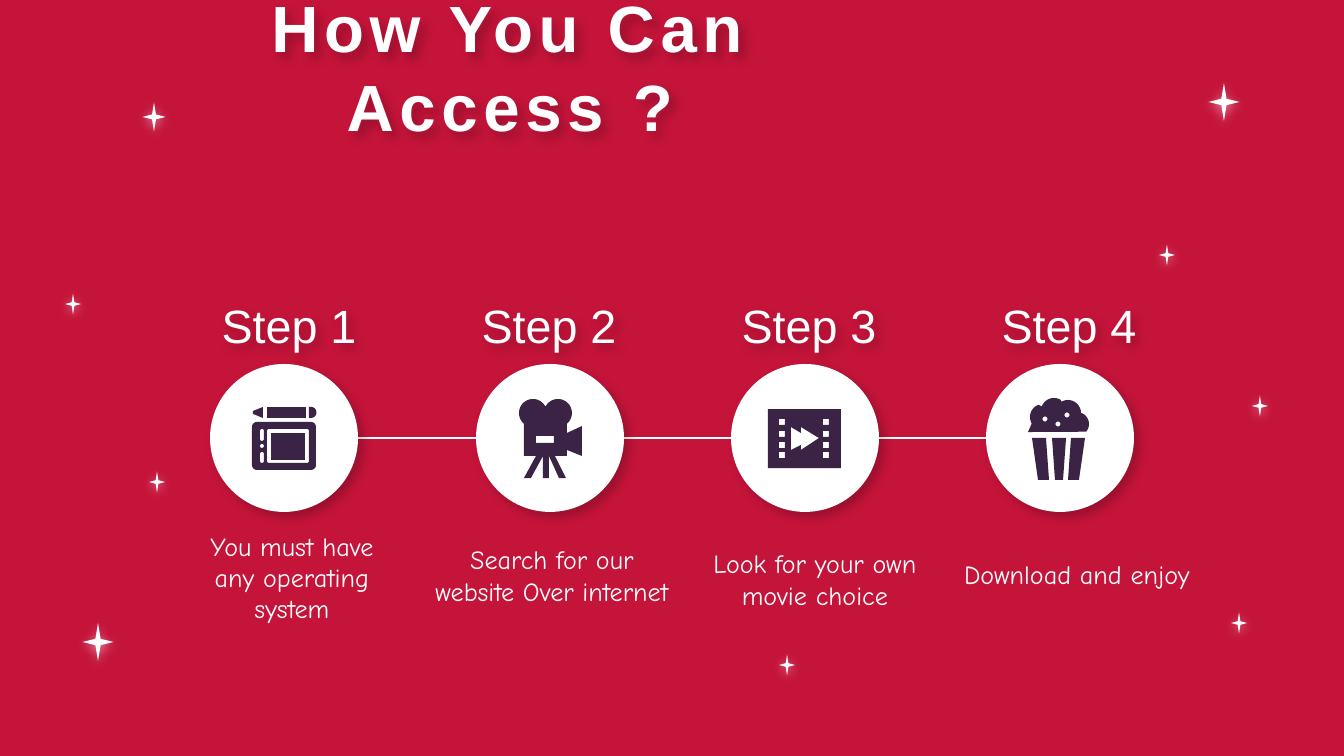
import math

from lxml import etree
from pptx import Presentation
from pptx.dml.color import RGBColor
from pptx.enum.shapes import MSO_CONNECTOR, MSO_SHAPE
from pptx.enum.text import MSO_ANCHOR, MSO_AUTO_SIZE, PP_ALIGN
from pptx.oxml.ns import qn
from pptx.util import Pt

STAR, OVAL = MSO_SHAPE.STAR_4_POINT, MSO_SHAPE.OVAL
STRAIGHT = MSO_CONNECTOR.STRAIGHT
MIDDLE, CENTER, NO_FIT = MSO_ANCHOR.MIDDLE, PP_ALIGN.CENTER, MSO_AUTO_SIZE.NONE

RED = RGBColor(0xC5, 0x14, 0x3A)
WHITE = RGBColor(0xFF, 0xFF, 0xFF)
BLACK = RGBColor(0x00, 0x00, 0x00)
PURPLE = RGBColor(0x3A, 0x23, 0x45)

PX = 914400 / 134.4  # EMU in one px
SLIDE_WIDTH, SLIDE_HEIGHT = 1344, 756


def px(value):
    return round(value * PX)


# Outline helpers: each returns the points of one contour, in px
def arc(x, y, radius, start, end):
    steps = max(2, round(abs(end - start) / 10))
    angles = [math.radians(start + (end - start) * i / steps) for i in range(steps + 1)]
    return [(x + radius * math.cos(a), y + radius * math.sin(a)) for a in angles]


def dot(x, y, radius):
    return arc(x, y, radius, 0, 360)


def box(left, top, right, bottom):
    return [(left, top), (right, top), (right, bottom), (left, bottom)]


def rounded(left, top, right, bottom, r):
    return (arc(left + r, top + r, r, 180, 270) + arc(right - r, top + r, r, 270, 360)
            + arc(right - r, bottom - r, r, 0, 90) + arc(left + r, bottom - r, r, 90, 180))


# Content
TITLE = "How You Can Access ?"

# Icons: a list of pieces, each an outer contour followed by its holes
TABLET = [
    [box(267, 407, 306, 418)],
    [[(263, 407), (253, 411), (253, 414), (263, 418)]],
    [[(309, 407)] + arc(311, 412.5, 5.5, -90, 90) + [(309, 418)]],
    [box(271, 433, 305, 460)],
    [rounded(252, 422, 316, 470, 5), rounded(267, 429, 309, 463, 2),
     rounded(260, 429, 264, 441, 2), dot(262, 446, 2), rounded(260, 452, 264, 463, 2)],
]
CAMERA = [[
    arc(533, 413, 14, -30, -230)
    + [(524, 456), (536, 456), (524, 478), (531, 478), (543, 456), (543, 478),
       (549, 478), (549, 456), (559, 478), (566, 478), (555, 456), (567, 456),
       (567, 450), (582, 456), (582, 426), (567, 433)]
    + arc(558, 413, 14, 50, -150),
    box(536, 436, 554, 443),
]]
FILM = [[
    box(768, 409, 841, 468),
    [(801, 427), (819, 438), (801, 450), (801, 445), (791, 450), (791, 427), (801, 433)],
    *[box(x, y, x + 6, y + 6) for x in (779, 823) for y in (419, 431, 442, 452)],
]]
POPCORN = [
    [[(1028, 432)] + arc(1043, 417, 13, 150, 250) + arc(1054, 411, 13, 200, 300)
     + arc(1068, 413, 13, 240, 360) + arc(1077, 424, 12, 300, 400),
     dot(1067, 415, 2.5), dot(1045, 419, 2.5), dot(1058, 424, 2.5)],
    [[(1032, 438), (1038, 480), (1049, 480), (1046, 438)]],
    [[(1052, 438), (1055, 480), (1063, 480), (1066, 438)]],
    [[(1071, 438), (1068, 480), (1079, 480), (1085, 438)]],
]

# Steps: circle centre, icon, caption, caption box (left, top, width)
STEPS = [
    (284, TABLET, "You must have any operating system", (174, 545, 236)),
    (550, CAMERA, "Search for our website Over internet", (417, 543, 270)),
    (805, FILM, "Look for your own movie choice", (680, 547, 270)),
    (1060, POPCORN, "Download and enjoy", (942, 542, 270)),
]
CIRCLE_Y, CIRCLE_SIZE = 438, 148
LABEL_LEFT, LABEL_PITCH, LABEL_TOP = 171, 260, 295
LABEL_WIDTH, LABEL_HEIGHT, CAPTION_HEIGHT = 236, 60, 64

# Stars: centre, size, rotation
LARGE, MEDIUM, SMALL = (31, 38), (23, 29), (16, 21)
STARS = [
    (1224, 102, LARGE, 0), (1260, 406, SMALL, 0), (1167, 255, SMALL, 0),
    (1239, 623, SMALL, 180), (98, 642, LARGE, 180), (73, 304, SMALL, 180),
    (157, 482, SMALL, 180), (154, 117, MEDIUM, 0), (787, 665, SMALL, 180),
]

STAR_GLOW = dict(color=WHITE, opacity=50, distance=1.5, angle=90)
SOFT_SHADOW = dict(color=BLACK, opacity=22, distance=3.8, angle=50)

presentation = Presentation()
presentation.slide_width, presentation.slide_height = px(SLIDE_WIDTH), px(SLIDE_HEIGHT)
slide = presentation.slides.add_slide(presentation.slide_layouts[5])
slide.background.fill.solid()
slide.background.fill.fore_color.rgb = RED
shapes = slide.shapes


def add_shadow(shape, color, opacity, distance, angle):
    shape.shadow.inherit = False
    effects = shape._element.spPr.find(qn("a:effectLst"))
    shadow = etree.SubElement(
        effects, qn("a:outerShdw"), blurRad=str(Pt(5.6)), dist=str(Pt(distance)),
        dir=str(angle * 60000), algn="bl", rotWithShape="0")
    tint = etree.SubElement(shadow, qn("a:srgbClr"), val=str(color))
    etree.SubElement(tint, qn("a:alpha"), val=str(opacity * 1000))


def paint(shape, color):
    shape.shadow.inherit = False
    shape.fill.solid()
    shape.fill.fore_color.rgb = color
    shape.line.fill.background()


def add_centred(kind, x, y, width, height, shadow):
    shape = shapes.add_shape(kind, px(x - width / 2), px(y - height / 2), px(width), px(height))
    paint(shape, WHITE)
    add_shadow(shape, **shadow)
    return shape


def add_text(text, left, top, width, height, *, size, font="Arial", bold=False,
             spacing=0, shadow=None, shape=None):
    shape = shape or shapes.add_textbox(0, 0, 0, 0)
    shape.left, shape.top, shape.width, shape.height = map(px, (left, top, width, height))
    frame = shape.text_frame
    frame.word_wrap, frame.auto_size, frame.vertical_anchor = True, NO_FIT, MIDDLE
    frame.margin_left = frame.margin_right = frame.margin_top = frame.margin_bottom = px(13)
    paragraph = frame.paragraphs[0]
    paragraph.alignment = CENTER
    run = paragraph.add_run()
    run.text = text
    run.font.name, run.font.size, run.font.bold = font, Pt(size), bold
    run.font.color.rgb = WHITE
    if spacing:
        run._r.get_or_add_rPr().set("spc", str(spacing * 100))
    if shadow:
        add_shadow(shape, **shadow)


def add_piece(contours):
    outlines = [[(px(x), px(y)) for x, y in contour] for contour in contours]
    builder = shapes.build_freeform(*outlines[0][0], scale=1.0)
    for number, outline in enumerate(outlines):
        if number:
            builder.move_to(*outline[0])
        builder.add_line_segments(outline[1:], close=True)
    paint(builder.convert_to_shape(), PURPLE)


# Background stars
for x, y, (width, height), rotation in STARS:
    star = add_centred(STAR, x, y, width, height, STAR_GLOW)
    star.adjustments[0] = 0.12
    star.rotation = rotation

# Title
add_text(TITLE, 118, 34, 784, 64, size=35, bold=True, spacing=3,
         shadow=SOFT_SHADOW, shape=shapes.title)

# Lines between neighbouring circles
radius = CIRCLE_SIZE / 2
for (x, *_), (next_x, *_) in zip(STEPS, STEPS[1:]):
    line = shapes.add_connector(STRAIGHT, px(x + radius), px(CIRCLE_Y),
                                px(next_x - radius), px(CIRCLE_Y))
    line.line.color.rgb, line.line.width = WHITE, Pt(1.5)
    etree.SubElement(line._element.spPr, qn("a:effectLst"))

# Steps: circle, icon, label and caption
for index, (x, icon, caption, (left, top, width)) in enumerate(STEPS):
    add_centred(OVAL, x, CIRCLE_Y, CIRCLE_SIZE, CIRCLE_SIZE, SOFT_SHADOW)
    for piece in icon:
        add_piece(piece)
    add_text(f"Step {index + 1}", LABEL_LEFT + index * LABEL_PITCH, LABEL_TOP,
             LABEL_WIDTH, LABEL_HEIGHT, size=25, shadow=SOFT_SHADOW)
    add_text(caption, left, top, width, CAPTION_HEIGHT, size=14, font="Comic Neue")

presentation.save("out.pptx")
